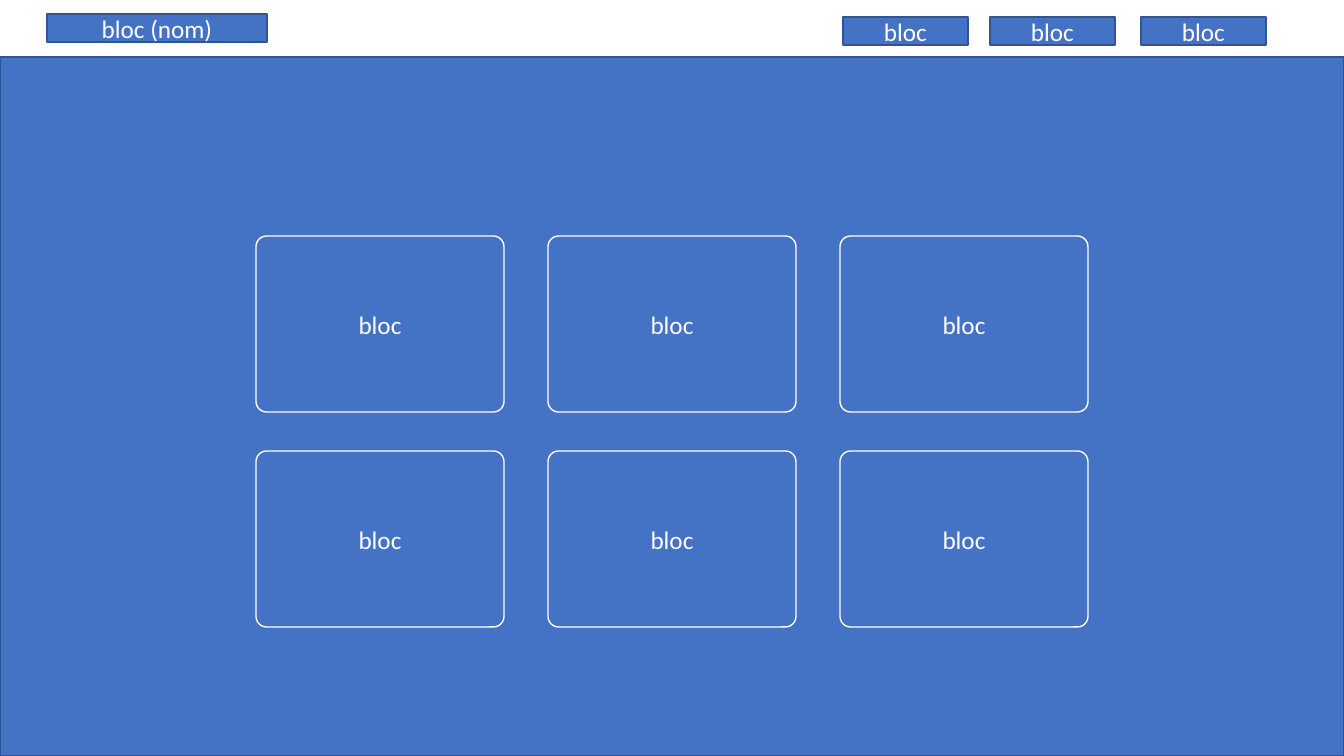
from dataclasses import dataclass
from itertools import product

from pptx import Presentation
from pptx.dml.color import RGBColor as RGB
from pptx.enum.shapes import MSO_SHAPE as SHAPE
from pptx.enum.text import MSO_ANCHOR as ANCHOR, PP_ALIGN as ALIGN
from pptx.util import Pt

SLIDE_W, SLIDE_H = 1344, 756
EMU_PER_PX = 12192000 / SLIDE_W


@dataclass(frozen=True)
class Theme:
    blue: RGB = RGB(0x44, 0x72, 0xC4)
    edge: RGB = RGB(0x32, 0x54, 0x91)
    white: RGB = RGB(0xFF, 0xFF, 0xFF)
    font: str = "Calibri"
    size: Pt = Pt(18)
    line: Pt = Pt(1)


THEME = Theme()


def px(n):
    return round(n * EMU_PER_PX)


def set_attrs(obj, values):
    for name, value in values.items():
        setattr(obj, name, value)


def add_label(sp, text):
    tf = sp.text_frame
    set_attrs(tf, {"word_wrap": True, "vertical_anchor": ANCHOR.MIDDLE})
    p = tf.paragraphs[0]
    p.alignment = ALIGN.CENTER
    r = p.add_run()
    r.text = text
    set_attrs(r.font, {"name": THEME.font, "size": THEME.size})
    r.font.color.rgb = THEME.white


def add_box(slide, box, text="", kind=SHAPE.RECTANGLE, edge=THEME.edge):
    sp = slide.shapes.add_shape(kind, *map(px, box))
    sp.shadow.inherit = False
    sp.fill.solid()
    sp.fill.fore_color.rgb = THEME.blue
    sp.line.color.rgb = edge
    sp.line.width = THEME.line
    if text:
        add_label(sp, text)
    return sp


def add_header(slide):
    add_box(slide, (47, 14, 220, 28), "bloc (nom)")
    for left in (843, 990, 1141):
        add_box(slide, (left, 17, 125, 28), "bloc")


def add_cards(slide):
    left, top, width, height = 256, 236, 248, 176
    step_x, step_y = 292, 215
    for row, col in product(range(2), range(3)):
        box = (left + col * step_x, top + row * step_y, width, height)
        card = add_box(slide, box, "bloc", SHAPE.ROUNDED_RECTANGLE, THEME.white)
        card.adjustments[0] = 0.06


def main():
    prs = Presentation()
    set_attrs(prs, {"slide_width": px(SLIDE_W), "slide_height": px(SLIDE_H)})
    slide = prs.slides.add_slide(prs.slide_layouts[6])
    add_header(slide)
    header_h = 57
    add_box(slide, (0, header_h, SLIDE_W, SLIDE_H - header_h))
    add_cards(slide)
    prs.save("out.pptx")


if __name__ == "__main__":
    main()
